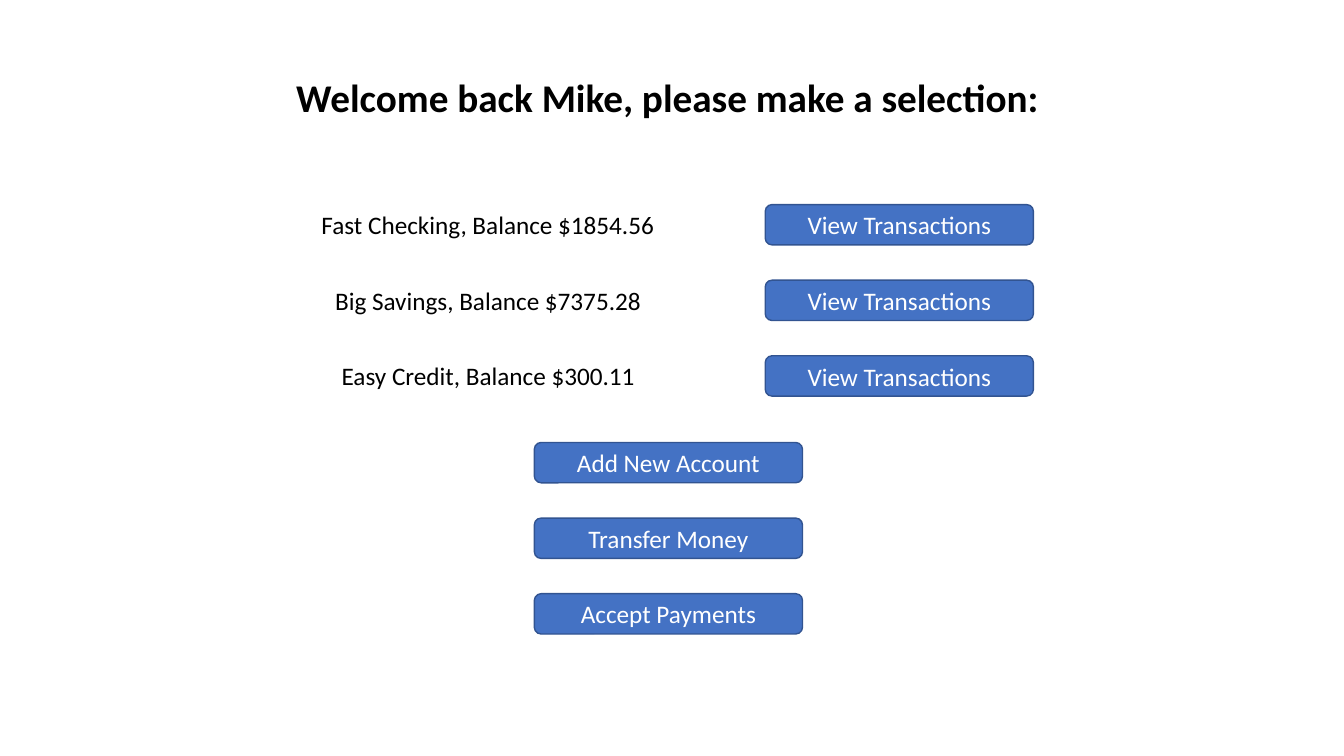
"""Build the account selection slide of a banking screen mock-up."""
from dataclasses import dataclass

from pptx import Presentation
from pptx.dml.color import RGBColor
from pptx.enum.shapes import MSO_SHAPE
from pptx.enum.text import MSO_ANCHOR, MSO_AUTO_SIZE, PP_ALIGN
from pptx.slide import Slide
from pptx.text.text import TextFrame
from pptx.util import Inches, Pt

ROUNDED_RECTANGLE = MSO_SHAPE.ROUNDED_RECTANGLE
MIDDLE = MSO_ANCHOR.MIDDLE
FIT_SHAPE = MSO_AUTO_SIZE.SHAPE_TO_FIT_TEXT
LEFT, CENTER = PP_ALIGN.LEFT, PP_ALIGN.CENTER

BLACK = RGBColor(0x00, 0x00, 0x00)
WHITE = RGBColor(0xFF, 0xFF, 0xFF)
BUTTON_BLUE = RGBColor(0x44, 0x72, 0xC4)
BORDER_BLUE = RGBColor(0x32, 0x54, 0x91)

FONT_NAME = "Calibri"
ROW_HEIGHT = 0.4
ROW_STEP = 0.75
BUTTON_WIDTH = 2.66
ACCOUNTS_TOP = 2.03
ACCOUNT_CENTER = 4.86
VIEW_BUTTON_LEFT = 7.59
ACTIONS_TOP = 4.39
ACTION_BUTTON_LEFT = 5.3


@dataclass(frozen=True)
class Account:
    """An account label and the width of its text box in inches."""

    label: str
    width: float


ACCOUNTS = (
    Account("Fast Checking, Balance $1854.56", 3.54),
    Account("Big Savings, Balance $7375.28", 3.27),
    Account("Easy Credit, Balance $300.11", 3.14),
)
ACTIONS = ("Add New Account", "Transfer Money", "Accept Payments")


def write_text(
    text_frame: TextFrame,
    text: str,
    *,
    size: int = 18,
    color: RGBColor = BLACK,
    bold: bool = False,
    alignment: PP_ALIGN = LEFT,
) -> None:
    """Write one formatted paragraph into a text frame."""
    paragraph = text_frame.paragraphs[0]
    paragraph.alignment = alignment
    run = paragraph.add_run()
    run.text = text
    run.font.name = FONT_NAME
    run.font.size = Pt(size)
    run.font.bold = bold
    run.font.color.rgb = color


def add_label(
    slide: Slide,
    text: str,
    left: float,
    top: float,
    width: float,
    height: float = ROW_HEIGHT,
    *,
    size: int = 18,
    bold: bool = False,
) -> None:
    """Add an unwrapped text box that fits its text."""
    text_box = slide.shapes.add_textbox(
        Inches(left), Inches(top), Inches(width), Inches(height)
    )
    text_box.text_frame.word_wrap = False
    text_box.text_frame.auto_size = FIT_SHAPE
    write_text(text_box.text_frame, text, size=size, bold=bold)


def add_button(slide: Slide, text: str, left: float, top: float) -> None:
    """Add a rounded blue button with a centred caption."""
    button = slide.shapes.add_shape(
        ROUNDED_RECTANGLE,
        Inches(left),
        Inches(top),
        Inches(BUTTON_WIDTH),
        Inches(ROW_HEIGHT),
    )
    button.shadow.inherit = False
    button.fill.solid()
    button.fill.fore_color.rgb = BUTTON_BLUE
    button.line.color.rgb = BORDER_BLUE
    button.line.width = Pt(1)
    button.text_frame.word_wrap = True
    button.text_frame.vertical_anchor = MIDDLE
    write_text(button.text_frame, text, color=WHITE, alignment=CENTER)


def build_slide(slide: Slide) -> None:
    """Place the heading, the account rows and the action buttons."""
    add_label(
        slide,
        "Welcome back Mike, please make a selection:",
        2.84,
        0.68,
        7.66,
        0.57,
        size=28,
        bold=True,
    )
    for row, account in enumerate(ACCOUNTS):
        top = ACCOUNTS_TOP + row * ROW_STEP
        left = ACCOUNT_CENTER - account.width / 2
        add_label(slide, account.label, left, top, account.width)
        add_button(slide, "View Transactions", VIEW_BUTTON_LEFT, top)
    for row, action in enumerate(ACTIONS):
        add_button(slide, action, ACTION_BUTTON_LEFT, ACTIONS_TOP + row * ROW_STEP)


def main() -> None:
    """Create and save the presentation."""
    presentation = Presentation()
    presentation.slide_width = Inches(13.33)
    presentation.slide_height = Inches(7.5)
    build_slide(presentation.slides.add_slide(presentation.slide_layouts[6]))
    presentation.save("out.pptx")


main()
